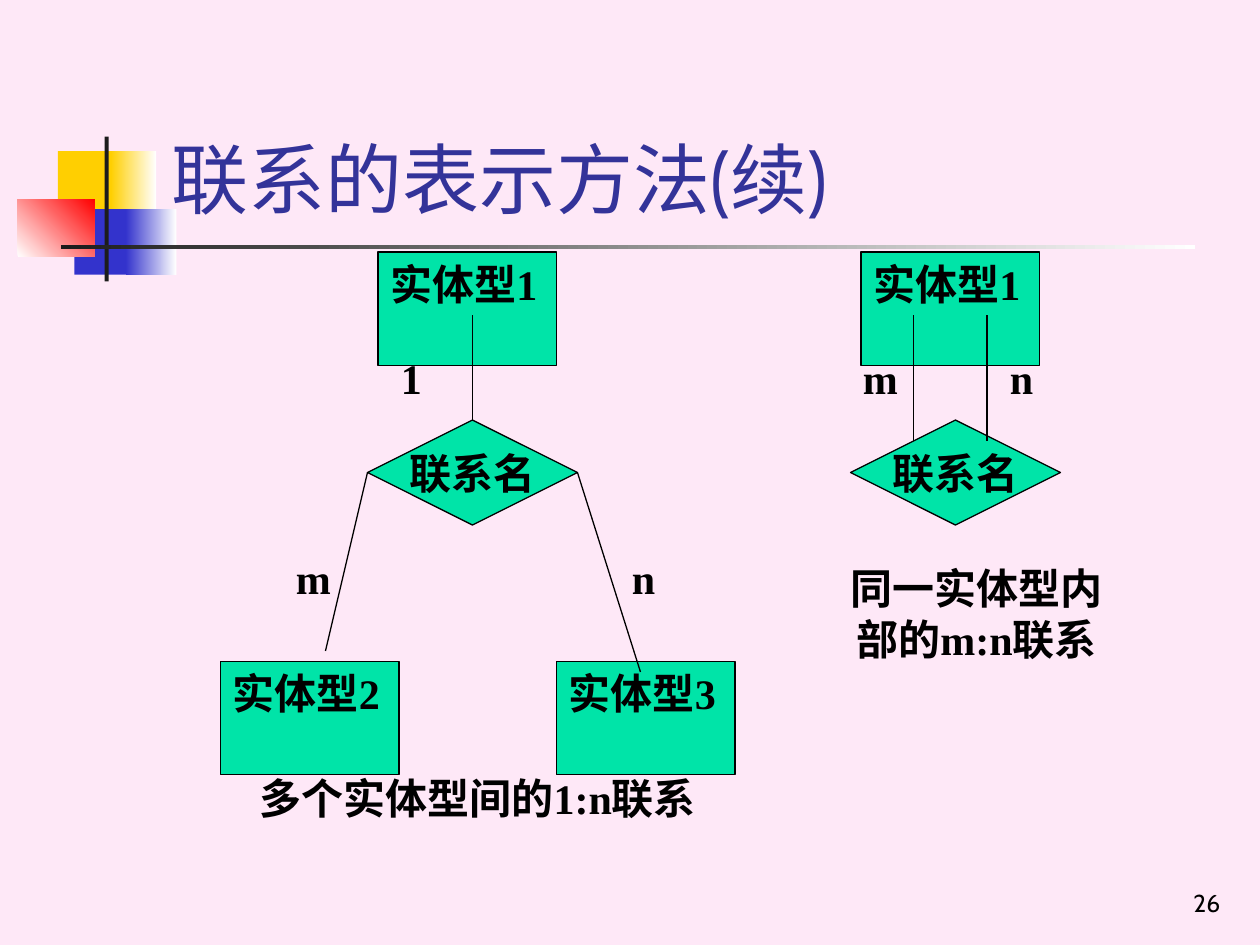
"""Build a slide on drawing relationships between entity types."""
import dataclasses

import pptx
import pptx.dml.color
import pptx.enum.shapes
import pptx.enum.text
import pptx.oxml
import pptx.util

SHAPES = pptx.enum.shapes.MSO_SHAPE
ALIGN = pptx.enum.text.PP_ALIGN
ANCHOR = pptx.enum.text.MSO_ANCHOR
FIT = pptx.enum.text.MSO_AUTO_SIZE
COLUMNS, ROWS = 120, 90
WIDTH, HEIGHT = pptx.util.Inches(10), pptx.util.Inches(7.5)
ENTITY, DIAMOND, LABEL = (17, 10.8), (20, 10), (5, 6)


@dataclasses.dataclass(frozen=True)
class Theme:
    background: str = "FEE8F7"
    ink: str = "000000"
    title: str = "333399"
    node: str = "00E4A8"
    yellow: str = "FFCF01"
    blue: str = "3333CC"
    red: str = "FF0000"
    white: str = "FFFFFF"
    bar: str = "1C1C1C"
    heading_font: str = "Cabin"
    body_font: str = "Times New Roman"
    title_size: int = 44
    body_size: int = 24
    number_size: int = 14
    line_width: float = 0.74


THEME = Theme()


def rgb(value):
    return pptx.dml.color.RGBColor.from_string(value)


def across(columns):
    return round(WIDTH * columns / COLUMNS)


def down(rows):
    return round(HEIGHT * rows / ROWS)


def place(left, top, width, height):
    return across(left), down(top), across(width), down(height)


def set_all(target, **values):
    for name, value in values.items():
        setattr(target, name, value)


def write(box, text, frame_format, para_format, size=THEME.body_size,
          font=THEME.body_font, color=THEME.ink, bold=True):
    frame = box.text_frame
    set_all(frame, **frame_format)
    para = frame.paragraphs[0]
    set_all(para, **para_format)
    span = para.add_run()
    span.text = text
    set_all(span.font, name=font, size=pptx.util.Pt(size), bold=bold)
    span.font.color.rgb = rgb(color)


def outline(line):
    set_all(line, width=pptx.util.Pt(THEME.line_width))
    line.fill.solid()
    line.fill.fore_color.rgb = rgb(THEME.ink)


def add_node(group, kind, spot, size):
    node = group.shapes.add_shape(kind, *place(*spot, *size))
    node.shadow.inherit = False
    node.fill.solid()
    node.fill.fore_color.rgb = rgb(THEME.node)
    outline(node.line)
    return node


def growing_text(box, text, align=ALIGN.LEFT):
    write(box, text,
          dict(word_wrap=True, auto_size=FIT.SHAPE_TO_FIT_TEXT, vertical_anchor=ANCHOR.TOP),
          dict(alignment=align, space_before=pptx.util.Pt(15)))


def add_entity(group, text, left, top):
    growing_text(add_node(group, SHAPES.RECTANGLE, (left, top), ENTITY), text)


def add_relation(group, text, left, top):
    write(add_node(group, SHAPES.DIAMOND, (left, top), DIAMOND), text,
          dict(word_wrap=False, vertical_anchor=ANCHOR.MIDDLE),
          dict(alignment=ALIGN.CENTER))


def add_text(group, text, spot, size=LABEL, align=ALIGN.LEFT):
    growing_text(group.shapes.add_textbox(*place(*spot, *size)), text, align)


def add_link(group, start, end):
    link = group.shapes.add_connector(
        pptx.enum.shapes.MSO_CONNECTOR.STRAIGHT,
        across(start[0]), down(start[1]), across(end[0]), down(end[1]))
    outline(link.line)
    link.element.spPr.append(pptx.oxml.parse_xml(
        '<a:effectLst xmlns:a="http://schemas.openxmlformats.org/drawingml/2006/main"/>'))


def add_ornament(page, spot, colors, angle=0):
    block = page.shapes.add_shape(SHAPES.RECTANGLE, *place(*spot))
    block.shadow.inherit = False
    block.line.fill.background()
    if len(colors) == 1:
        block.fill.solid()
        block.fill.fore_color.rgb = rgb(colors[0])
        return
    block.fill.gradient()
    block.fill.gradient_angle = angle
    for position, (stop, color) in enumerate(zip(block.fill.gradient_stops, colors)):
        stop.position = position
        stop.color.rgb = rgb(color)


def add_ornaments(page):
    add_ornament(page, (5.52, 14.4, 5.76, 6.24), [THEME.yellow])
    add_ornament(page, (10.56, 14.4, 4.32, 6.24), [THEME.yellow, THEME.white])
    add_ornament(page, (7.08, 19.92, 5.52, 6.24), [THEME.blue])
    add_ornament(page, (12, 19.92, 4.8, 6.24), [THEME.blue, THEME.white])
    add_ornament(page, (1.68, 18.96, 7.32, 5.52), [THEME.white, THEME.red], 45)
    add_ornament(page, (9.96, 13, 0.4, 13.8), [THEME.bar])
    add_ornament(page, (5.8, 23.36, 108, 0.4), [THEME.bar, THEME.white])


def add_headings(page):
    title = page.shapes.title
    title.element.getparent().append(title.element)
    set_all(title, **dict(zip(("left", "top", "width", "height"),
                              place(15.12, 2.76, 102.24, 19.2))))
    write(title, "联系的表示方法(续)",
          dict(word_wrap=True, auto_size=FIT.NONE, vertical_anchor=ANCHOR.BOTTOM),
          dict(alignment=ALIGN.LEFT),
          THEME.title_size, THEME.heading_font, THEME.title, False)
    number = page.shapes.add_textbox(*place(92.4, 82, 25, 6))
    write(number, "26", dict(word_wrap=True, vertical_anchor=ANCHOR.BOTTOM),
          dict(alignment=ALIGN.RIGHT),
          THEME.number_size, THEME.heading_font, bold=False)


def add_inner_relation(page):
    group = page.shapes.add_group_shape()
    add_entity(group, "实体型1", 82, 24)
    add_relation(group, "联系名", 81, 40)
    for text, label_left, column in (("m", 81, 87), ("n", 95, 94)):
        add_link(group, (column, 30), (column, 42))
        add_text(group, text, (label_left, 33))
    add_text(group, "同一实体型内部的m:n联系", (78, 53), (30, 10.8), ALIGN.CENTER)


def add_three_way_relation(page):
    group = page.shapes.add_group_shape()
    for text, left, top in (("实体型1", 36, 24), ("实体型2", 21, 63), ("实体型3", 53, 63)):
        add_entity(group, text, left, top)
    add_relation(group, "联系名", 35, 40)
    for start, end, text, label in (((45, 40), (45, 30), "1", (37, 33)),
                                    ((35, 45), (31, 62), "m", (27, 52)),
                                    ((55, 45), (61, 64), "n", (59, 52))):
        add_link(group, start, end)
        add_text(group, text, label)
    add_text(group, "多个实体型间的1:n联系", (21, 73), (49, 6), ALIGN.CENTER)


def main():
    deck = pptx.Presentation()
    set_all(deck, slide_width=WIDTH, slide_height=HEIGHT)
    page = deck.slides.add_slide(deck.slide_layouts[5])
    page.background.fill.solid()
    page.background.fill.fore_color.rgb = rgb(THEME.background)
    add_ornaments(page)
    add_headings(page)
    add_inner_relation(page)
    add_three_way_relation(page)
    deck.save("out.pptx")


main()
